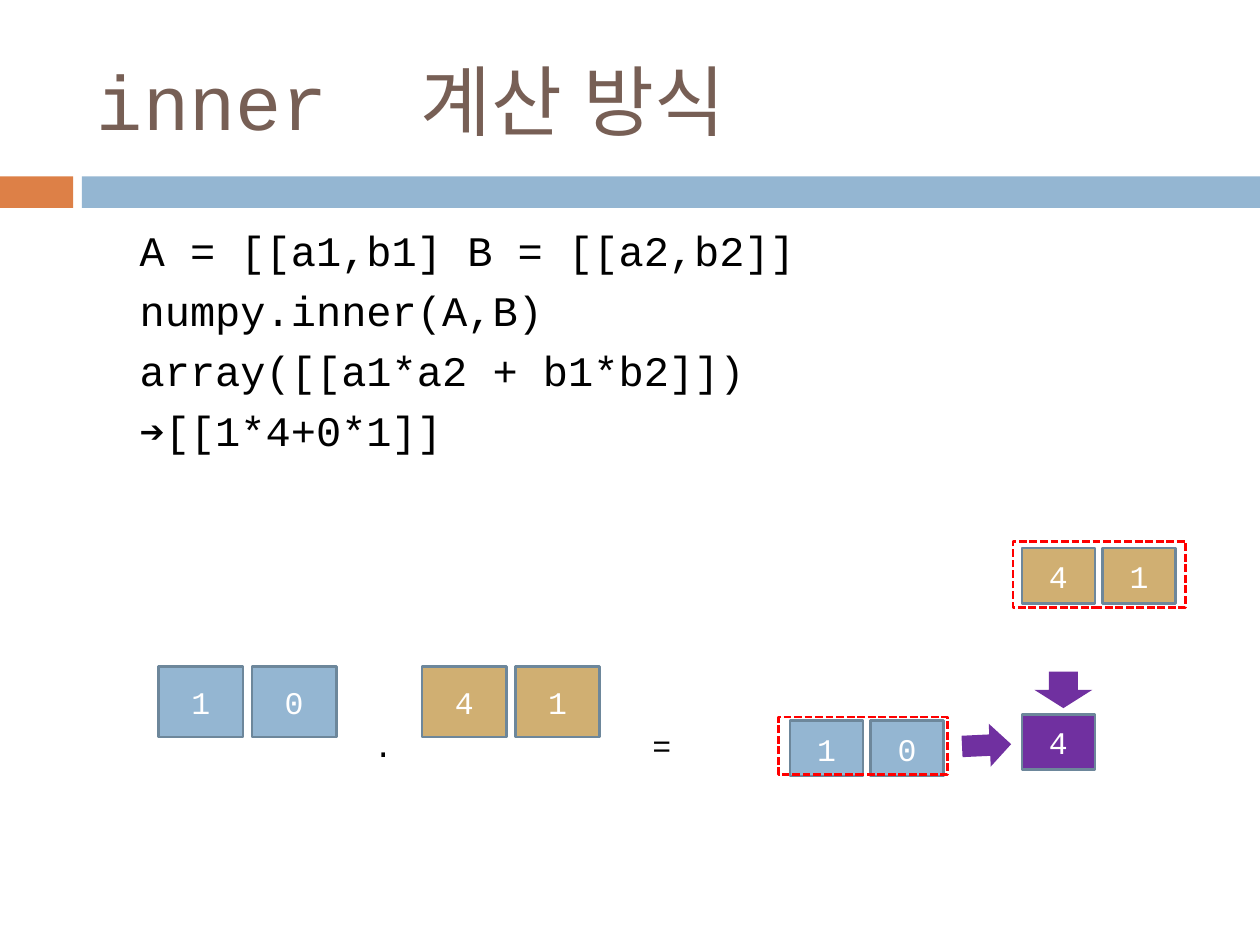
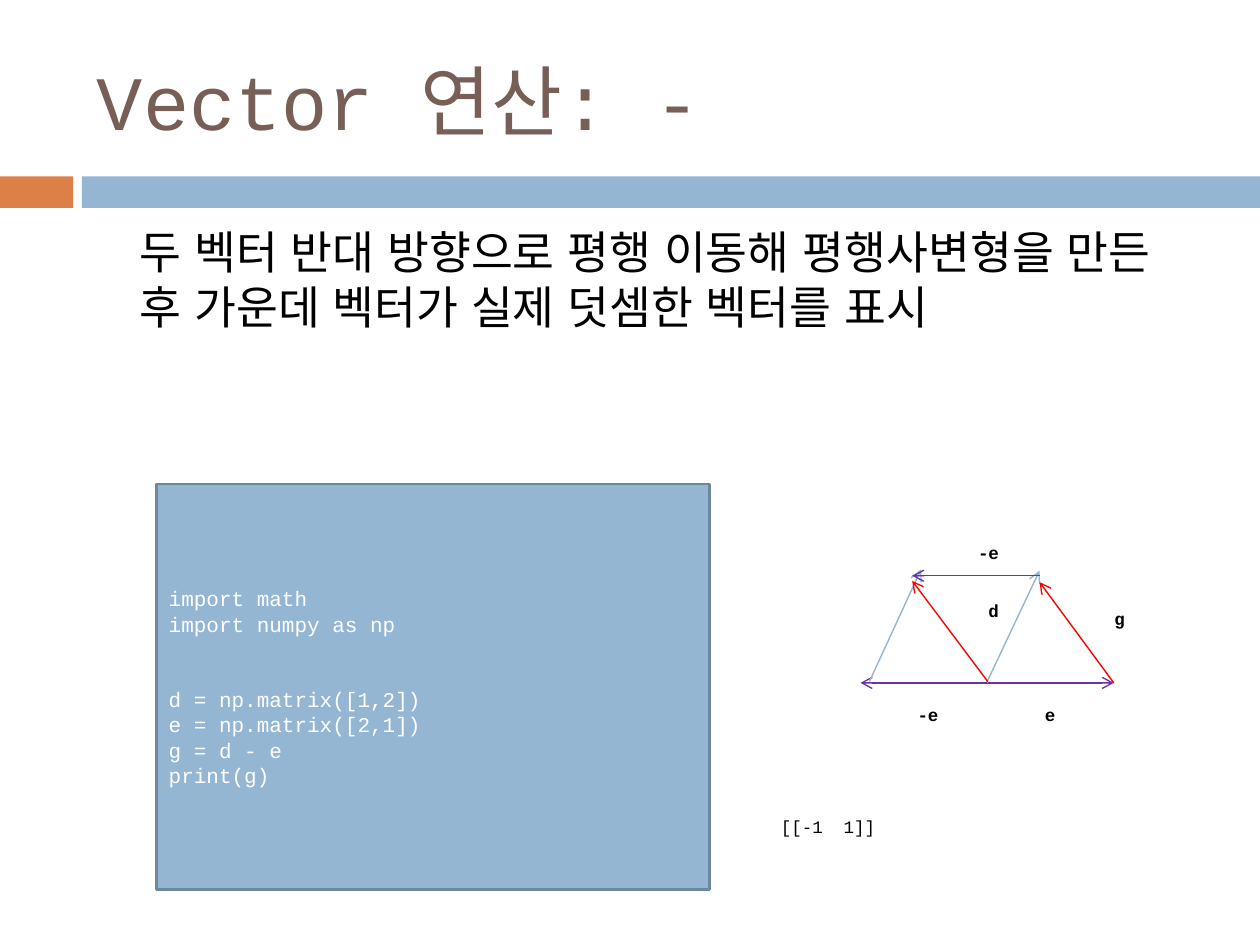
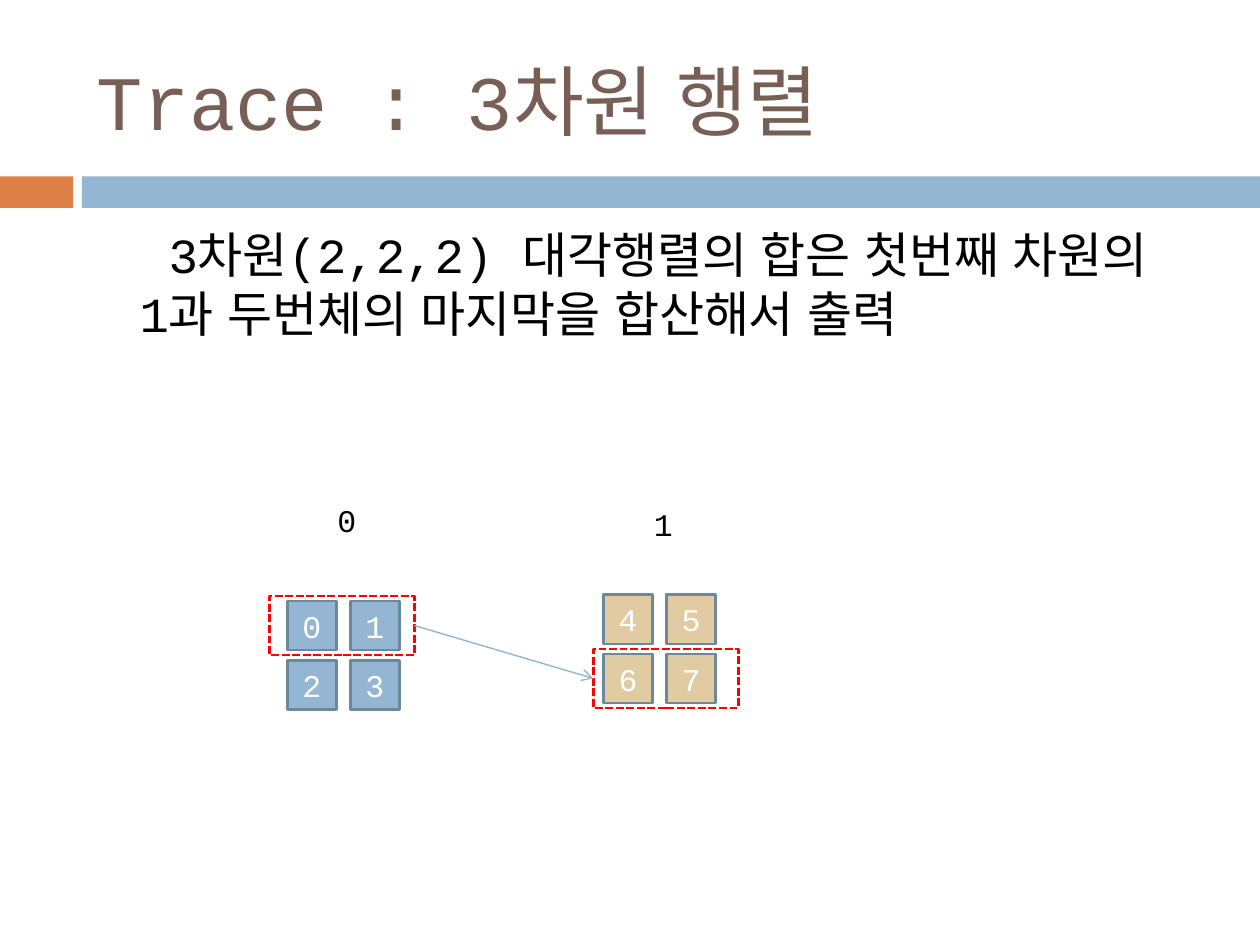
from lxml import etree
from pptx import Presentation
from pptx.dml.color import RGBColor
from pptx.enum.dml import MSO_LINE_DASH_STYLE as Dash
from pptx.enum.shapes import MSO_CONNECTOR as Link, MSO_SHAPE as Shape
from pptx.enum.text import MSO_ANCHOR as Anchor, PP_ALIGN as Align
from pptx.oxml.ns import qn
from pptx.util import Inches, Pt

FONT, HANGUL_FONT = "Courier New", "Arial"
BLUE, ORANGE, BROWN = "94B6D2", "DD8047", "775F55"
GOLD, SAND, PURPLE = "D0AF72", "E0CBA3", "7030A0"
EDGE, RED, WHITE, BLACK = "6D879B", "FF0000", "FFFFFF", "000000"


def rgb(code):
    """Turn a hex string into a colour."""
    return RGBColor.from_string(code)


def add_span(para, text, size, color, bold, spacing=0):
    """Add one formatted run, with extra letter spacing in points."""
    span = para.add_run()
    span.text = text
    span.font.name = FONT
    span.font.size = Pt(size)
    span.font.bold = bold
    span.font.color.rgb = rgb(color)
    props = span._r.get_or_add_rPr()
    if spacing:
        props.set("spc", str(round(spacing * 100)))
    etree.SubElement(props, qn("a:ea"), typeface=HANGUL_FONT)


def write(shape, text, size=18, color=BLACK, bold=False, align=Align.LEFT,
          anchor=Anchor.TOP, gap=0, gaps=None, indent=0, first=0):
    """Fill a shape with a paragraph per line; a tab gives a double-width space."""
    frame = shape.text_frame
    frame.word_wrap = True
    frame.vertical_anchor = anchor
    for index, line in enumerate(text.split("\n")):
        para = frame.add_paragraph() if index else frame.paragraphs[0]
        para.alignment = align
        para.space_before = Pt((gaps or {}).get(index, gap) if index else 0)
        props = para._p.get_or_add_pPr()
        props.set("marL", str(Inches(indent)))
        props.set("indent", str(Inches(first)))
        head, *rest = line.split("\t")
        add_span(para, head, size, color, bold)
        for part in rest:
            add_span(para, " ", size, color, bold, spacing=0.6 * size)
            add_span(para, part, size, color, bold)


def add_text(page, box, text, **style):
    """Add a text box."""
    write(page.shapes.add_textbox(*map(Inches, box)), text, **style)


def add_block(page, box, fill=None, line=None, kind=Shape.RECTANGLE):
    """Add a preset shape with an optional fill and outline."""
    block = page.shapes.add_shape(kind, *map(Inches, box))
    block.shadow.inherit = False
    if fill:
        block.fill.solid()
        block.fill.fore_color.rgb = rgb(fill)
    else:
        block.fill.background()
    if line:
        block.line.color.rgb = rgb(line)
        block.line.width = Pt(1.5)
    else:
        block.line.fill.background()
    return block


def add_marker(page, box):
    """Add a dashed red frame."""
    marker = add_block(page, box, line=RED)
    marker.line.dash_style = Dash.SQUARE_DOT
    marker.line._get_or_add_ln().find(qn("a:prstDash")).set("val", "sysDash")
    return marker


def add_arrow(page, start, end, color):
    """Add a thin line with an open arrowhead at its end."""
    arrow = page.shapes.add_connector(Link.STRAIGHT, *map(Inches, (*start, *end)))
    arrow.line.color.rgb = rgb(color)
    arrow.line.width = Pt(0.79)
    etree.SubElement(arrow.line._get_or_add_ln(), qn("a:tailEnd"), type="arrow")
    etree.SubElement(arrow._element.spPr, qn("a:effectLst"))
    return arrow


def add_matrix(page, left, top, rows, fill, cell, pitch):
    """Draw a grid of numbered cells from its top left corner."""
    for row, values in enumerate(rows):
        for column, value in enumerate(values):
            box = (left + column * pitch[0], top + row * pitch[1], *cell)
            write(add_block(page, box, fill, EDGE), value, color=WHITE,
                  align=Align.CENTER, anchor=Anchor.MIDDLE)


def start_page(deck, title, body, size, height, first=0):
    """Add a page with bands, title and body text."""
    page = deck.slides.add_slide(deck.slide_layouts[6])
    add_block(page, (0, 1.4, 0.58, 0.25), ORANGE)
    add_block(page, (0.65, 1.4, 9.35, 0.25), BLUE)
    add_text(page, (0.67, 0.25, 8.92, 1.08), title, size=44, color=BROWN,
             anchor=Anchor.MIDDLE)
    add_text(page, (0.51, 1.73, 9, height), body, size=size, gap=5.5,
             indent=0.5, first=first)
    return page


def draw_product(page, left, top):
    """Draw the two factors and the signs of the product."""
    cell, pitch = (0.67, 0.56), (0.74, 0)
    add_matrix(page, left, top, ["10"], BLUE, cell, pitch)
    add_matrix(page, left + 2.09, top, ["41"], GOLD, cell, pitch)
    for offset, sign in ((1.61, "."), (3.82, "=")):
        add_text(page, (left + offset, top + 0.42, 0.24, 0.33), sign)


def draw_result(page, left, top):
    """Draw how a row and a column meet in the result."""
    cell, pitch = (0.58, 0.44), (0.64, 0)
    add_matrix(page, left + 0.09, top + 1.42, ["10"], BLUE, cell, pitch)
    add_matrix(page, left + 1.93, top + 0.05, ["41"], GOLD, cell, pitch)
    add_matrix(page, left + 1.93, top + 1.37, ["4"], PURPLE, cell, pitch)
    add_marker(page, (left, top + 1.39, 1.34, 0.46))
    add_marker(page, (left + 1.86, top, 1.37, 0.52))
    add_block(page, (left + 2.03, top + 1.03, 0.46, 0.29), PURPLE,
              kind=Shape.DOWN_ARROW)
    across = add_block(page, (left + 1.48, top + 1.42, 0.34, 0.39), PURPLE,
                       kind=Shape.DOWN_ARROW)
    across.rotation = 267.3


def draw_code(page, left, top):
    """Draw the code panel and its printed result."""
    code = ("import math\nimport numpy as np\nd = np.matrix([1,2])\n"
            "e = np.matrix([2,1])\ng = d - e\nprint(g)")
    panel = add_block(page, (left, top, 4.39, 3.22), BLUE, EDGE)
    write(panel, code, size=12, color=WHITE, anchor=Anchor.MIDDLE, gaps={2: 28.8})
    add_text(page, (left + 4.86, top + 2.59, 3.07, 0.27), "[[-1  1]]", size=10)


def draw_vectors(page, left, top):
    """Draw the parallelogram of vectors with its labels."""
    arrows = (
        (1, 1.17, 2.01, 1.17, PURPLE), (1, 1.17, 1.42, 0.28, BLUE),
        (2.01, 1.17, 1.42, 0.37, RED), (1, 1.17, 0, 1.17, PURPLE),
        (0.07, 1.16, 0.48, 0.27, BLUE), (1.01, 1.16, 0.41, 0.36, RED),
        (1.42, 0.32, 0.41, 0.32, PURPLE))
    for x1, y1, x2, y2, color in arrows:
        add_arrow(page, (left + x1, top + y1), (left + x2, top + y2), color)
    labels = ((1.23, 1.29, "e"), (0.78, 0.46, "d"), (1.78, 0.53, "g"),
              (0.26, 1.29, "-e"), (0.74, 0, "-e"))
    for x, y, name in labels:
        add_text(page, (left + x, top + y, 0.55, 0.27), name, size=10,
                 bold=True, align=Align.CENTER)


def draw_layers(page, left, top):
    """Draw both layers of the array and link the marked rows."""
    cell, pitch = (0.39, 0.39), (0.5, 0.47)
    add_matrix(page, left + 0.14, top + 0.84, ["01", "23"], BLUE, cell, pitch)
    add_matrix(page, left + 2.65, top + 0.79, ["45", "67"], SAND, cell, pitch)
    add_text(page, (left + 0.44, top, 0.39, 0.4), "0")
    add_text(page, (left + 2.95, top + 0.03, 0.39, 0.4), "1")
    source = add_marker(page, (left, top + 0.8, 1.15, 0.47))
    target = add_marker(page, (left + 2.57, top + 1.22, 1.15, 0.47))
    arrow = add_arrow(page, (left + 1.15, top + 1.03), (left + 2.57, top + 1.46), BLUE)
    arrow.begin_connect(source, 3)
    arrow.end_connect(target, 1)


def main():
    """Build the deck."""
    deck = Presentation()
    deck.slide_width, deck.slide_height = Inches(10), Inches(7.5)

    inner = start_page(
        deck, "inner\t계산 방식",
        "A = [[a1,b1] B = [[a2,b2]]\nnumpy.inner(A,B)\n"
        "array([[a1*a2 + b1*b2]])\n➔[[1*4+0*1]]", 24, 2.64)
    draw_product(inner, 1.26, 5.29)
    draw_result(inner, 6.18, 4.3)

    vector = start_page(
        deck, "Vector 연산: -",
        "두 벡터 반대 방향으로 평행 이동해 평행사변형을 만든 후 "
        "가운데 벡터가 실제 덧셈한 벡터를 표시", 26, 1.47)
    draw_code(vector, 1.24, 3.84)
    draw_vectors(vector, 6.83, 4.25)

    trace = start_page(
        deck, "Trace : 3차원 행렬",
        "3차원(2,2,2) 대각행렬의 합은 첫번째 차원의 1과 두번체의 "
        "마지막을 합산해서 출력", 28, 0.92, first=0.23)
    draw_layers(trace, 2.14, 3.93)

    deck.save("out.pptx")


if __name__ == "__main__":
    main()
